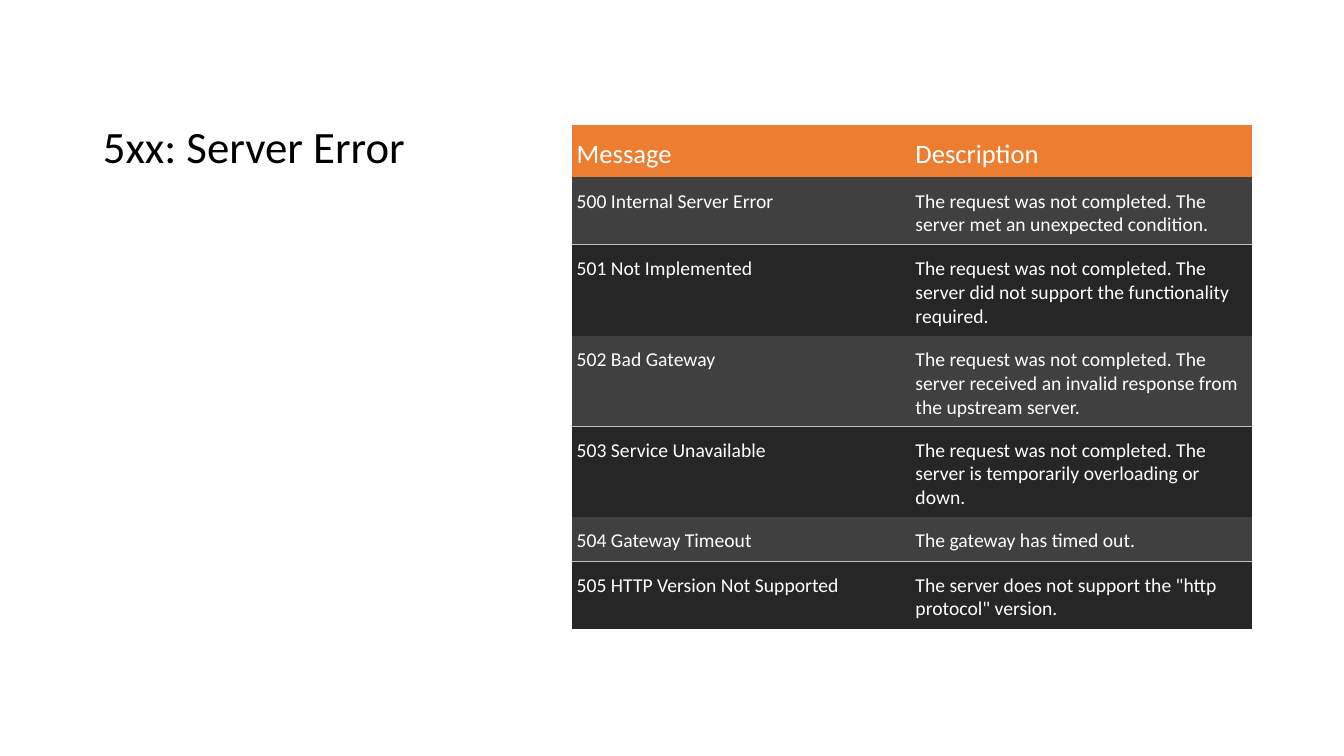
from dataclasses import dataclass

from lxml.etree import SubElement
from pptx import Presentation
from pptx.dml.color import RGBColor
from pptx.enum.text import MSO_ANCHOR, PP_ALIGN
from pptx.oxml.ns import qn
from pptx.util import Inches, Pt

# Content
TITLE = "5xx: Server Error"
HEADINGS = ("Message", "Description")
ERRORS = [
    ("500 Internal Server Error",
     "The request was not completed. The server met an unexpected condition."),
    ("501 Not Implemented",
     "The request was not completed. The server did not support the functionality required."),
    ("502 Bad Gateway",
     "The request was not completed. The server received an invalid response from the upstream server."),
    ("503 Service Unavailable",
     "The request was not completed. The server is temporarily overloading or down."),
    ("504 Gateway Timeout", "The gateway has timed out."),
    ("505 HTTP Version Not Supported",
     'The server does not support the "http protocol" version.'),
]

# Layout in inches
TITLE_BOX = (0.92, 0.5, 4.3, 1.75)
TABLE_LEFT, TABLE_TOP = 5.67, 1.24
COLUMN_WIDTHS = (3.36, 3.39)
ROW_HEIGHTS = (0.52, 0.67, 0.9, 0.9, 0.9, 0.44, 0.67)


@dataclass(frozen=True)
class Theme:
    font: str = "Calibri"
    title_size: float = 32
    heading_size: float = 19
    body_size: float = 14
    title: str = "000000"
    text: str = "FFFFFF"
    header: str = "ED7D31"
    bands: tuple = ("404040", "262626")
    rule: str = "BFBFBF"
    rule_width: float = 1


THEME = Theme()


def style_text(paragraph, size, color):
    for run in paragraph.runs:
        run.font.name = THEME.font
        run.font.size = Pt(size)
        run.font.bold = False
        run.font.color.rgb = RGBColor.from_string(color)


def set_borders(cell, ruled_side):
    """Draw a rule on one side of the cell and clear the others."""
    properties = cell._tc.get_or_add_tcPr()
    for side in ("L", "R", "T", "B"):
        line = SubElement(properties, qn(f"a:ln{side}"))
        if side == ruled_side:
            line.set("w", str(Pt(THEME.rule_width)))
            fill = SubElement(line, qn("a:solidFill"))
            SubElement(fill, qn("a:srgbClr")).set("val", THEME.rule)
        else:
            line.set("w", "0")
            SubElement(line, qn("a:noFill"))


def add_title(slide):
    title = slide.shapes.title
    title.left, title.top, title.width, title.height = map(Inches, TITLE_BOX)
    frame = title.text_frame
    frame.text = TITLE
    frame.word_wrap = True
    frame.vertical_anchor = MSO_ANCHOR.BOTTOM
    frame.margin_bottom = Inches(0.53)
    heading = frame.paragraphs[0]
    heading.alignment = PP_ALIGN.LEFT
    heading.line_spacing = 0.9
    style_text(heading, THEME.title_size, THEME.title)


def fill_cell(cell, text, row):
    is_header = row == 0
    band = (row - 1) % 2
    # Each light band is separated from the dark band below it
    set_borders(cell, None if is_header else "BT"[band])
    cell.fill.solid()
    cell.fill.fore_color.rgb = RGBColor.from_string(
        THEME.header if is_header else THEME.bands[band])
    cell.margin_left = cell.margin_right = cell.margin_bottom = Inches(0.05)
    cell.margin_top = Inches(0.12)
    cell.vertical_anchor = MSO_ANCHOR.MIDDLE if is_header else MSO_ANCHOR.TOP
    cell.text_frame.text = text
    size = THEME.heading_size if is_header else THEME.body_size
    style_text(cell.text_frame.paragraphs[0], size, THEME.text)


def add_error_table(slide):
    rows = [HEADINGS, *ERRORS]
    table = slide.shapes.add_table(
        len(rows), len(HEADINGS), Inches(TABLE_LEFT), Inches(TABLE_TOP),
        Inches(sum(COLUMN_WIDTHS)), Inches(sum(ROW_HEIGHTS))).table
    for column, width in zip(table.columns, COLUMN_WIDTHS):
        column.width = Inches(width)
    for table_row, height in zip(table.rows, ROW_HEIGHTS):
        table_row.height = Inches(height)
    for row, texts in enumerate(rows):
        for column, text in enumerate(texts):
            fill_cell(table.cell(row, column), text, row)


def main():
    deck = Presentation()
    deck.slide_width, deck.slide_height = Inches(13.33), Inches(7.5)
    slide = deck.slides.add_slide(deck.slide_layouts.get_by_name("Title Only"))
    add_title(slide)
    add_error_table(slide)
    deck.save("out.pptx")


if __name__ == "__main__":
    main()
